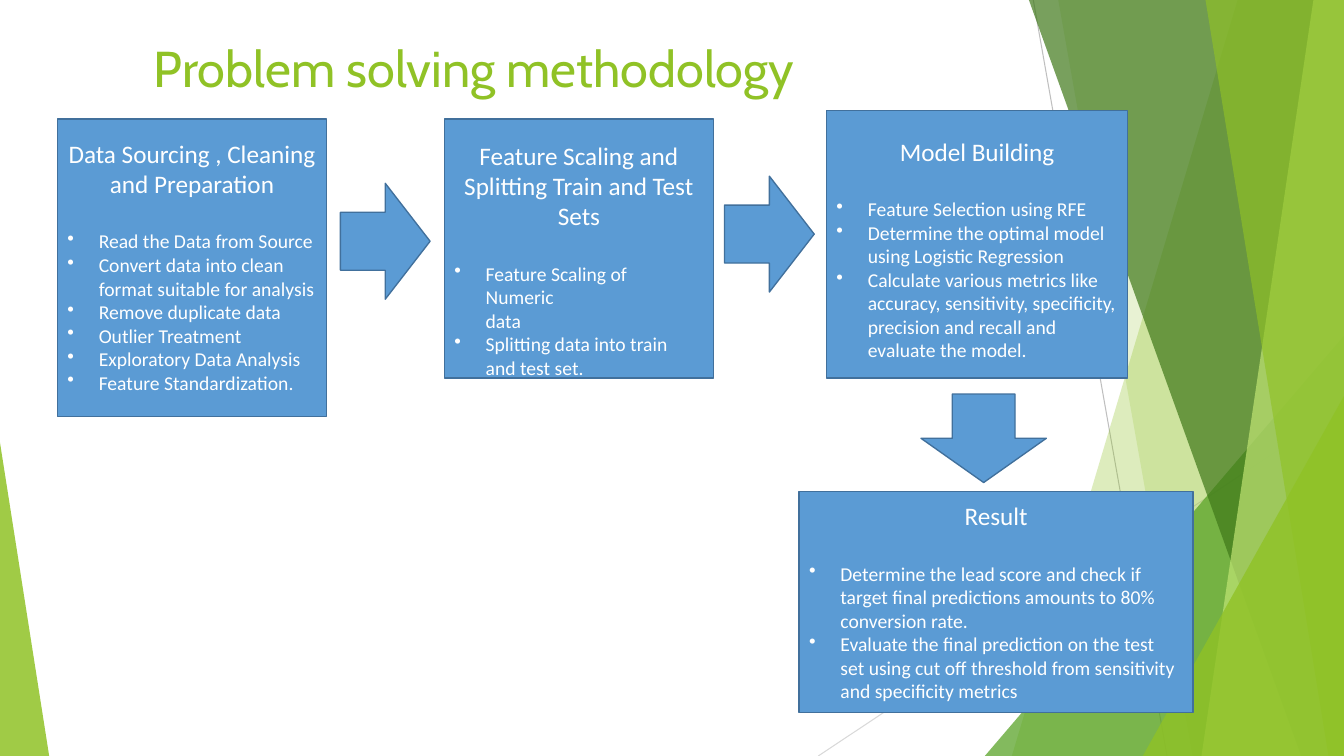
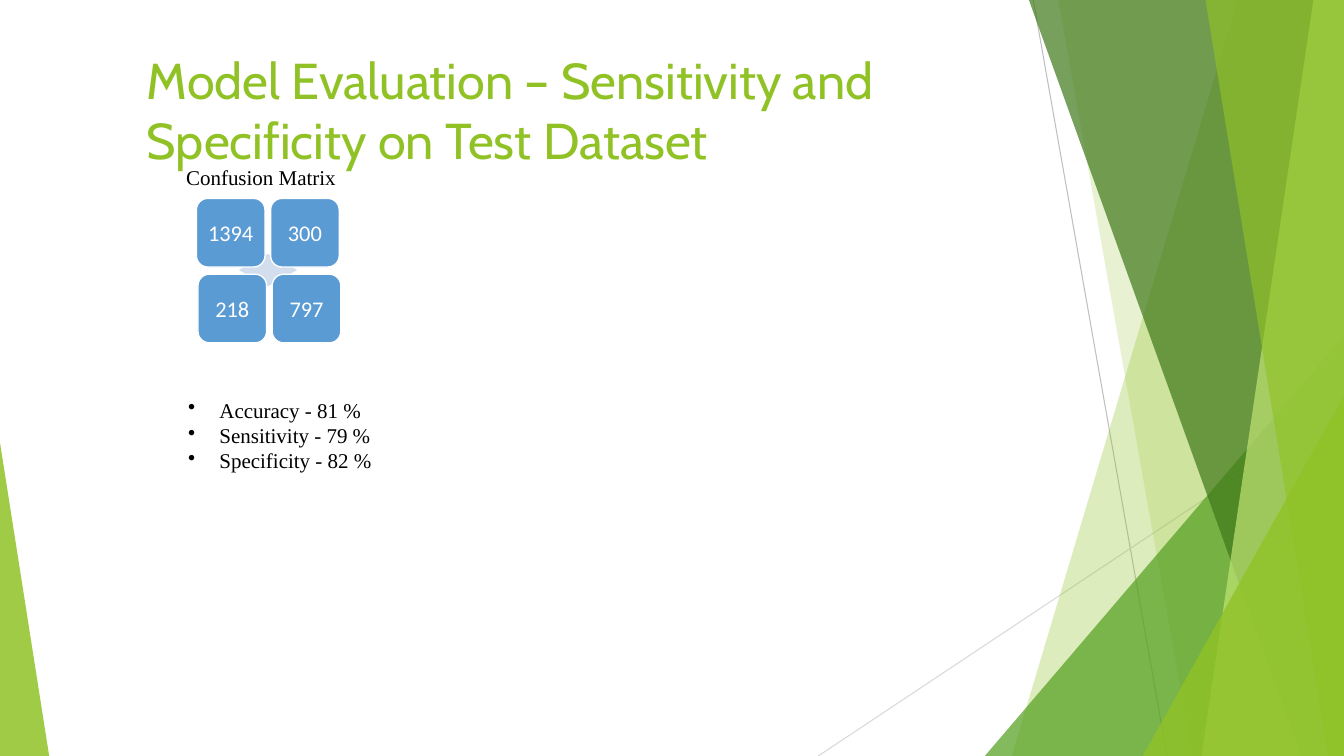
"""Build two slides on a lead scoring method and its test results."""
from copy import deepcopy
from dataclasses import dataclass

from lxml import etree
from pptx import Presentation
from pptx.dml.color import RGBColor
from pptx.enum.shapes import MSO_CONNECTOR, MSO_SHAPE
from pptx.enum.text import MSO_ANCHOR, MSO_AUTO_SIZE, PP_ALIGN
from pptx.oxml.ns import qn
from pptx.util import Cm, Pt

RECTANGLE = MSO_SHAPE.RECTANGLE
ROUNDED = MSO_SHAPE.ROUNDED_RECTANGLE
TRIANGLE = MSO_SHAPE.ISOSCELES_TRIANGLE
DIAMOND = MSO_SHAPE.DIAMOND
RIGHT_ARROW = MSO_SHAPE.RIGHT_ARROW
DOWN_ARROW = MSO_SHAPE.DOWN_ARROW
STRAIGHT = MSO_CONNECTOR.STRAIGHT
TOP, MIDDLE = MSO_ANCHOR.TOP, MSO_ANCHOR.MIDDLE
LEFT, CENTER = PP_ALIGN.LEFT, PP_ALIGN.CENTER
NO_AUTOFIT = MSO_AUTO_SIZE.NONE

TITLE_ONLY = 5
WIDTH, HEIGHT = 33.87, 19.05
HANGING = 0.79


@dataclass(frozen=True)
class Theme:
    """Colours, fonts and type sizes."""
    lime: str = "90C226"
    green: str = "54A021"
    forest: str = "3F7819"
    pale_lime: str = "C0E474"
    blue: str = "5B9BD4"
    blue_edge: str = "41709C"
    pale_blue: str = "D2DEEE"
    white: str = "FFFFFF"
    black: str = "000000"
    steep_line: str = "BFBFBF"
    low_line: str = "D9D9D9"
    title_font: str = "Cabin"
    box_font: str = "Calibri"
    note_font: str = "Times New Roman"
    title_size: float = 36
    heading_size: float = 18
    tile_size: float = 16
    note_size: float = 15
    bullet_size: float = 14
    edge_width: float = 0.96
    hairline: float = 0.75


THEME = Theme()


def rgb(color):
    """Turn a hex string into a colour."""
    return RGBColor.from_string(color)


def write(frame, text, *, font, size, color, align=LEFT, before=0, bullet=None):
    """Add a paragraph; a vertical tab in the text breaks the line."""
    paragraph = frame.add_paragraph() if frame.text else frame.paragraphs[0]
    paragraph.text = text
    paragraph.alignment = align
    paragraph.space_before = Pt(before)
    for run in paragraph.runs:
        run.font.name = font
        run.font.size = Pt(size)
        run.font.color.rgb = rgb(color)
    element = paragraph._p
    for line_break in element.findall(qn("a:br")):
        line_break.append(deepcopy(element.find(".//" + qn("a:rPr"))))
    if bullet is not None:
        properties = element.get_or_add_pPr()
        properties.set("marL", str(Cm(bullet)))
        properties.set("indent", str(Cm(-HANGING)))
        etree.SubElement(properties, qn("a:buChar")).set("char", "•")


def set_frame(frame, top=0.03, anchor=TOP):
    """Make a wrapping frame with no side insets."""
    frame.word_wrap = True
    frame.auto_size = NO_AUTOFIT
    frame.vertical_anchor = anchor
    frame.margin_left = frame.margin_right = frame.margin_bottom = 0
    frame.margin_top = Cm(top)
    return frame


class Deck:
    """Holds the style, the presentation and the current slide."""

    def __init__(self, theme):
        self.theme = theme
        self.presentation = Presentation()
        self.presentation.slide_width = Cm(WIDTH)
        self.presentation.slide_height = Cm(HEIGHT)
        self.layout = self.presentation.slide_layouts[TITLE_ONLY]
        self.slide = None

    def add_slide(self, title, left, top, width, height):
        """Start a slide with its title."""
        first = self.slide is None
        self.slide = self.presentation.slides.add_slide(self.layout)
        if first:
            self.decorate_layout()
        holder = self.slide.shapes.title
        holder.left, holder.top = Cm(left), Cm(top)
        holder.width, holder.height = Cm(width), Cm(height)
        write(set_frame(holder.text_frame), title, font=self.theme.title_font,
              size=self.theme.title_size, color=self.theme.lime)

    def paint(self, shape, fill, edge=None, opacity=100):
        """Set fill, outline and opacity."""
        shape.shadow.inherit = False
        shape.fill.solid()
        shape.fill.fore_color.rgb = rgb(fill)
        if edge:
            shape.line.color.rgb = rgb(edge)
            shape.line.width = Pt(self.theme.edge_width)
        else:
            shape.line.fill.background()
        if opacity < 100:
            color = shape.element.spPr.find(".//" + qn("a:srgbClr"))
            etree.SubElement(color, qn("a:alpha")).set("val", str(opacity * 1000))
        return shape

    def shape(self, kind, left, top, width, height, fill, edge=None, opacity=100):
        """Add a preset shape."""
        shape = self.slide.shapes.add_shape(
            kind, Cm(left), Cm(top), Cm(width), Cm(height))
        return self.paint(shape, fill, edge, opacity)

    def line(self, start, end, color):
        """Add a hairline."""
        line = self.slide.shapes.add_connector(
            STRAIGHT, *(Cm(value) for value in (*start, *end)))
        line.line.color.rgb = rgb(color)
        line.line.width = Pt(self.theme.hairline)
        etree.SubElement(line.element.spPr, qn("a:effectLst"))

    def band(self, top_left, bottom_left, fill, opacity):
        """Add a slanted full-height band that ends at the right edge."""
        outline = self.slide.shapes.build_freeform(Cm(top_left), 0, scale=1.0)
        corners = [(WIDTH, 0), (WIDTH, HEIGHT), (bottom_left, HEIGHT)]
        outline.add_line_segments([(Cm(x), Cm(y)) for x, y in corners], close=True)
        self.paint(outline.convert_to_shape(), fill, opacity=opacity)

    def wedge(self, left, top, width, apex, fill, opacity):
        """Add a right triangle that stands on the bottom edge."""
        wedge = self.shape(TRIANGLE, left, top, width, HEIGHT - top, fill,
                           opacity=opacity)
        wedge.adjustments[0] = apex

    def decorate_layout(self):
        """Draw the facets once and move them to the shared layout."""
        theme = self.theme
        self.line((26.04, 0), (29.41, HEIGHT), theme.steep_line)
        self.line((WIDTH, 10.24), (20.62, HEIGHT), theme.low_line)
        self.band(31.19, 25.5, theme.lime, 30)
        self.band(26.67, 30.05, theme.lime, 20)
        self.wedge(24.82, 8.46, 9.05, 1, theme.green, 72)
        self.band(25.93, 32.79, theme.forest, 70)
        self.band(33.1, 30.28, theme.pale_lime, 70)
        self.band(30.38, 33.48, theme.lime, 65)
        self.wedge(28.8, 9.98, 5.07, 1, theme.lime, 80)
        self.wedge(0, 11.15, 1.24, 0, theme.lime, 85)
        for facet in list(self.slide.shapes):
            if not facet.is_placeholder:
                self.layout.shapes.element.append(facet.element)

    def step(self, left, top, width, height, inset, heading, tasks):
        """Add a process box with a heading and bullets."""
        theme = self.theme
        box = self.shape(RECTANGLE, left, top, width, height, theme.blue,
                         theme.blue_edge)
        frame = set_frame(box.text_frame, inset)
        style = {"font": theme.box_font, "color": theme.white}
        write(frame, heading, size=theme.heading_size, align=CENTER, **style)
        for number, task in enumerate(tasks):
            write(frame, task, size=theme.bullet_size, bullet=1.04,
                  before=0 if number else 22, **style)

    def arrow(self, kind, left, top, width, height):
        """Add a block arrow between steps."""
        self.shape(kind, left, top, width, height, self.theme.blue,
                   self.theme.blue_edge)

    def matrix(self, left, top, rows):
        """Add the tiles of a confusion matrix around a diamond."""
        theme = self.theme
        self.shape(DIAMOND, left + 1.07, top + 1.4, 1.47, 0.81, theme.pale_blue)
        for row, counts in enumerate(rows):
            for column, count in enumerate(counts):
                tile = self.shape(ROUNDED, left + 1.87 * column + 0.04 * row,
                                  top + 1.91 * row, 1.73, 1.73, theme.blue,
                                  theme.white)
                write(set_frame(tile.text_frame, 0, MIDDLE), count,
                      font=theme.box_font, size=theme.tile_size,
                      color=theme.white, align=CENTER)

    def note(self, left, top, width, height, lines, bullet=None):
        """Add a plain text box."""
        box = self.slide.shapes.add_textbox(
            Cm(left), Cm(top), Cm(width), Cm(height))
        frame = set_frame(box.text_frame)
        for text in lines:
            write(frame, text, font=self.theme.note_font, bullet=bullet,
                  size=self.theme.note_size, color=self.theme.black)


def add_methodology(deck):
    """Build the process slide."""
    deck.add_slide("Problem solving methodology", 3.88, 0.9, 18.16, 1.57)
    deck.step(1.45, 3, 6.78, 7.5, 0.48,
              "Data Sourcing , Cleaning\vand Preparation",
              ["Read the Data from Source",
               "Convert data into clean\vformat suitable for analysis",
               "Remove duplicate data",
               "Outlier Treatment",
               "Exploratory Data Analysis",
               "Feature Standardization."])
    deck.step(11.2, 3, 6.78, 6.53, 0.53,
              "Feature Scaling and\vSplitting Train and Test\vSets",
              ["Feature Scaling of\vNumeric\vdata",
               "Splitting data into train\vand test set."])
    deck.arrow(RIGHT_ARROW, 8.58, 4.62, 2.26, 2.92)
    deck.arrow(RIGHT_ARROW, 18.26, 4.44, 2.26, 2.92)
    deck.step(20.83, 2.78, 7.59, 6.75, 0.65,
              "Model Building",
              ["Feature Selection using RFE",
               "Determine the optimal model\vusing Logistic Regression",
               "Calculate various metrics like\vaccuracy, sensitivity, specificity,"
               "\vprecision and recall and\vevaluate the model."])
    deck.arrow(DOWN_ARROW, 23.21, 9.93, 3.16, 2.23)
    deck.step(20.14, 12.39, 9.93, 5.56, 0.22,
              "Result",
              ["Determine the lead score and check if"
               "\vtarget final predictions amounts to 80%\vconversion rate.",
               "Evaluate the final prediction on the test"
               "\vset using cut off threshold from sensitivity"
               "\vand specificity metrics"])


def add_evaluation(deck):
    """Build the test results slide."""
    deck.add_slide("Model Evaluation – Sensitivity and Specificity on Test Dataset",
                   3.7, 1.2, 21.72, 3.12)
    deck.note(4.69, 9.98, 4.8, 1.98,
              ["Accuracy - 81 %", "Sensitivity - 79 %", "Specificity - 82 %"],
              bullet=0.84)
    deck.matrix(4.95, 5, [("1394", "300"), ("218", "797")])
    deck.note(4.69, 4.12, 4.2, 0.71, ["Confusion Matrix"])


def main():
    """Build and save the deck."""
    deck = Deck(THEME)
    add_methodology(deck)
    add_evaluation(deck)
    deck.presentation.save("out.pptx")


if __name__ == "__main__":
    main()
